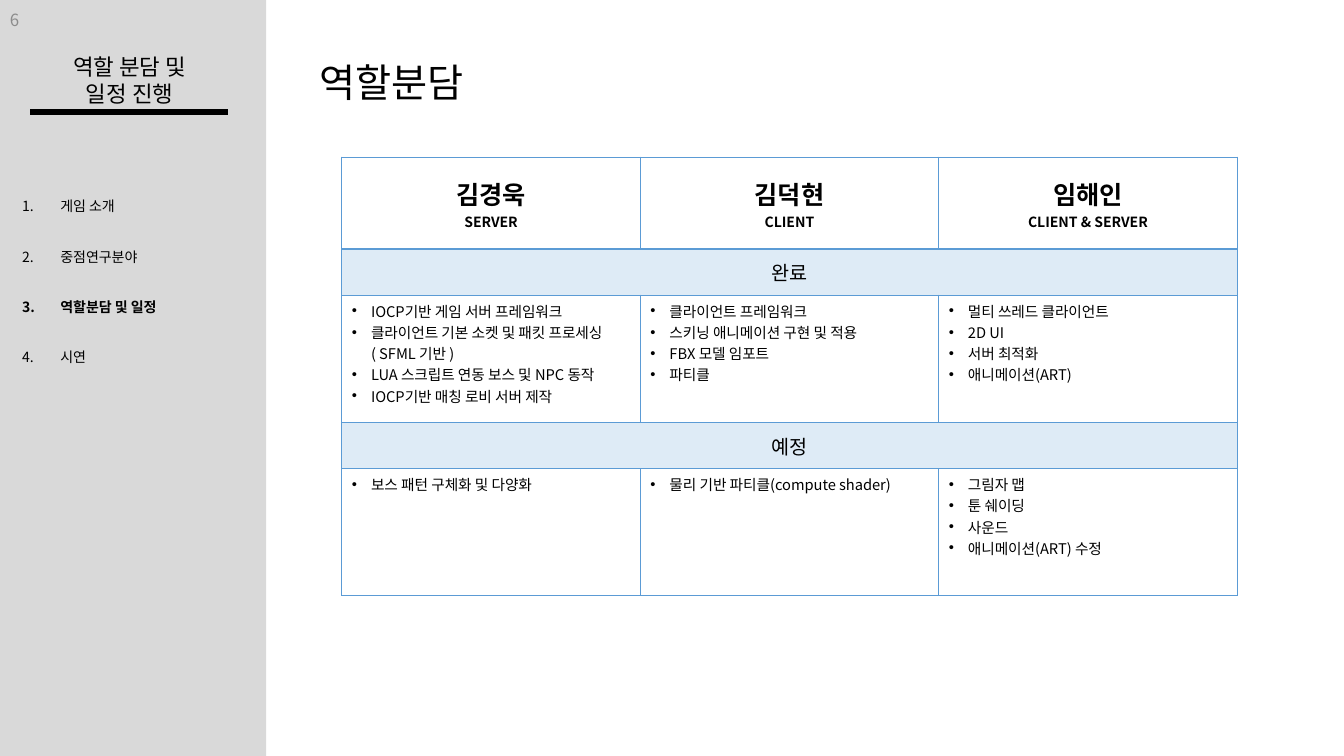
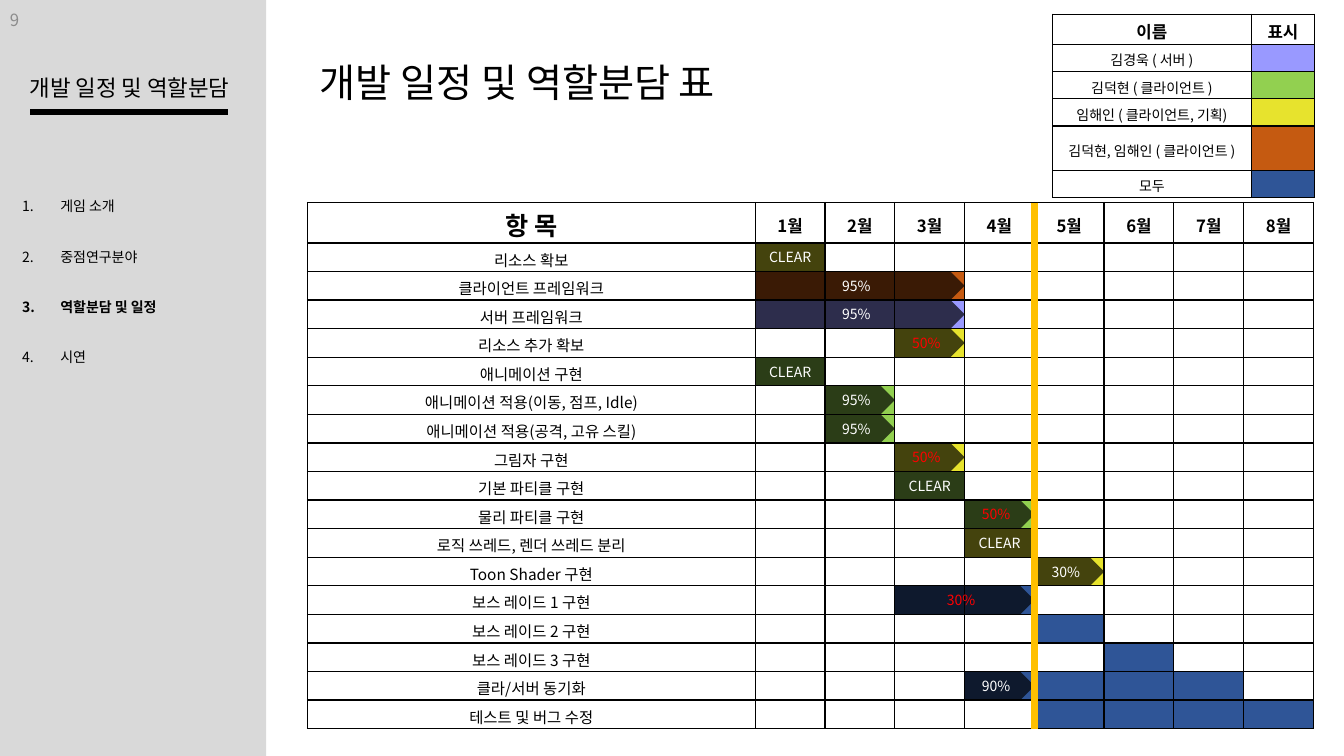
"""Build two slides on the roles and the schedule of a game project."""
from lxml import etree
from pptx import Presentation
from pptx import util as u
from pptx.dml.color import RGBColor
from pptx.enum import shapes, text
from pptx.oxml import ns

WIDE, HIGH = 13.33, 7.5
FONT = "Noto Sans CJK KR"
BLACK = RGBColor(0x00, 0x00, 0x00)
WHITE = RGBColor(0xFF, 0xFF, 0xFF)
RED = RGBColor(0xFF, 0x00, 0x00)
PALE = RGBColor(0xD9, 0xD9, 0xD9)
GREY = RGBColor(0x8C, 0x8C, 0x8C)
SKY = RGBColor(0x5B, 0x9B, 0xD5)
GOLD = RGBColor(0xFF, 0xC0, 0x00)
LILAC = RGBColor(0x99, 0x99, 0xFF)
GREEN = RGBColor(0x92, 0xD0, 0x50)
LEMON = RGBColor(0xE7, 0xE3, 0x2D)
RUST = RGBColor(0xC5, 0x5A, 0x11)
NAVY = RGBColor(0x2F, 0x55, 0x97)

MID = text.MSO_ANCHOR.MIDDLE
TOP = text.MSO_ANCHOR.TOP
LEFT = text.PP_ALIGN.LEFT
MIDDLE = text.PP_ALIGN.CENTER
DOT = ("buChar", {"char": "•"}, 0.19)
NUMBER = ("buAutoNum", {"type": "arabicPeriod"}, 0.38)

MENU = ["게임 소개", "중점연구분야", "역할분담 및 일정", "시연"]
ACTIVE = 2

TEAM = [("김경욱", "SERVER"), ("김덕현", "CLIENT"), ("임해인", "CLIENT & SERVER")]
WORK = [
    ("완료", [
        ["IOCP기반 게임 서버 프레임워크",
         "클라이언트 기본 소켓 및 패킷 프로세싱 ( SFML 기반 )",
         "LUA 스크립트 연동 보스 및 NPC 동작",
         "IOCP기반 매칭 로비 서버 제작"],
        ["클라이언트 프레임워크", "스키닝 애니메이션 구현 및 적용",
         "FBX 모델 임포트", "파티클"],
        ["멀티 쓰레드 클라이언트", "2D UI", "서버 최적화", "애니메이션(ART)"]]),
    ("예정", [
        ["보스 패턴 구체화 및 다양화"],
        ["물리 기반 파티클(compute shader)"],
        ["그림자 맵", "툰 쉐이딩", "사운드", "애니메이션(ART) 수정"]]),
]

KEY = [
    ("김경욱 ( 서버 )", LILAC),
    ("김덕현 ( 클라이언트 )", GREEN),
    ("임해인 ( 클라이언트, 기획)", LEMON),
    ("김덕현, 임해인 ( 클라이언트 )", RUST),
    ("모두", NAVY),
]
MONTHS = 8
TASKS = [
    ("리소스 확보", LEMON, 1, 1, "CLEAR", 1, WHITE),
    ("클라이언트 프레임워크", RUST, 1, 3, "95%", 3, WHITE),
    ("서버 프레임워크", LILAC, 1, 3, "95%", 3, WHITE),
    ("리소스 추가 확보", LEMON, 3, 3, "50%", 1, RED),
    ("애니메이션 구현", GREEN, 1, 1, "CLEAR", 1, WHITE),
    ("애니메이션 적용(이동, 점프, Idle)", GREEN, 2, 2, "95%", 1, WHITE),
    ("애니메이션 적용(공격, 고유 스킬)", GREEN, 2, 2, "95%", 1, WHITE),
    ("그림자 구현", LEMON, 3, 3, "50%", 1, RED),
    ("기본 파티클 구현", GREEN, 3, 3, "CLEAR", 1, WHITE),
    ("물리 파티클 구현", GREEN, 4, 4, "50%", 1, RED),
    ("로직 쓰레드, 렌더 쓰레드 분리", LEMON, 4, 4, "CLEAR", 1, WHITE),
    ("Toon Shader 구현", LEMON, 5, 5, "30%", 1, WHITE),
    ("보스 레이드 1 구현", NAVY, 3, 4, "30%", 2, RED),
    ("보스 레이드 2 구현", NAVY, 5, 5, None, 0, WHITE),
    ("보스 레이드 3 구현", NAVY, 6, 6, None, 0, WHITE),
    ("클라/서버 동기화", NAVY, 4, 7, "90%", 1, WHITE),
    ("테스트 및 버그 수정", NAVY, 5, 8, None, 0, WHITE),
]


def sub(node, tag, **attrs):
    """Append a drawing element to a node."""
    return etree.SubElement(node, ns.qn("a:" + tag), attrs)


def place(*sizes):
    """Turn inches into lengths."""
    return [u.Inches(size) for size in sizes]


def paint(item, hue, alpha=None):
    """Fill a shape or cell, with an optional opacity in percent."""
    item.fill.solid()
    item.fill.fore_color.rgb = hue
    if alpha:
        root = item._tc.tcPr if hasattr(item, "_tc") else item._element.spPr
        tone = root.find(ns.qn("a:solidFill"))[0]
        sub(tone, "alpha", val=str(alpha * 1000))


def write(frame, lines, size, ink=BLACK, bold=(), align=LEFT, mark=None, lead=None):
    """Write one paragraph per line; size may be a list, bold holds line numbers."""
    for i, line in enumerate(lines):
        para = frame.paragraphs[0] if i == 0 else frame.add_paragraph()
        para.text = line
        para.alignment = align
        if lead:
            para.line_spacing = u.Pt(lead)
        if mark:
            tag, attrs, indent = mark
            props = para._p.get_or_add_pPr()
            props.set("marL", str(u.Inches(indent)))
            props.set("indent", str(-u.Inches(indent)))
            sub(props, "buFont", typeface="Arial" if mark is DOT else FONT)
            sub(props, tag, **attrs)
        font = para.font
        font.size = u.Pt(size[i] if isinstance(size, list) else size)
        font.bold = i in bold
        font.color.rgb = ink
        font.name = FONT
        sub(font._rPr, "ea", typeface=FONT)


def label(slide, box, lines, size, anchor=TOP, **style):
    """Add a wrapped text box."""
    frame = slide.shapes.add_textbox(*place(*box)).text_frame
    frame.word_wrap = True
    frame.vertical_anchor = anchor
    write(frame, lines, size, **style)


def block(slide, kind, box, hue, alpha=None):
    """Add a filled shape without outline or shadow."""
    shape = slide.shapes.add_shape(kind, *place(*box))
    shape.shadow.inherit = False
    shape.line.fill.background()
    paint(shape, hue, alpha)
    return shape


def rule(slide, ends, hue):
    """Add a thick straight line."""
    line = slide.shapes.add_connector(shapes.MSO_CONNECTOR.STRAIGHT, *place(*ends))
    line.line.color.rgb = hue
    line.line.width = u.Pt(4.5)
    sub(line._element.spPr, "effectLst")


def edge(cell, hue, base=1):
    """Draw the four borders of a cell, the lower one in its own width."""
    props = cell._tc.get_or_add_tcPr()
    for side, width in zip("LRTB", (1, 1, 1, base)):
        line = sub(props, "ln" + side, w=str(u.Pt(width)))
        sub(sub(line, "solidFill"), "srgbClr", val=str(hue))


def grid(slide, left, top, cols, rows, hue, base=1):
    """Add a plain bordered table."""
    box = place(left, top, sum(cols), sum(rows))
    table = slide.shapes.add_table(len(rows), len(cols), *box).table
    table.first_row = table.horz_banding = False
    for col, size in zip(table.columns, cols):
        col.width = u.Inches(size)
    for i, (row, size) in enumerate(zip(table.rows, rows)):
        row.height = u.Inches(size)
        for cell in row.cells:
            edge(cell, hue, base if i == 0 else 1)
            cell.fill.background()
    return table


def fit(table):
    """Tighten the cells of a dense table and shrink its blank ones."""
    for cell in table.iter_cells():
        cell.margin_top, cell.margin_bottom = place(0.04, 0)
        cell.vertical_anchor = MID
        if not cell.text:
            sub(cell.text_frame.paragraphs[0]._p, "endParaRPr", sz="800")


def page(deck, title, head, top, number):
    """Add a slide with title, side band, menu and page number."""
    slide = deck.slides.add_slide(deck.slide_layouts[5])
    name = slide.shapes.title
    name.left, name.top, name.width, name.height = place(3.07, 0.53, 5.53, 0.57)
    name.text_frame.auto_size = text.MSO_AUTO_SIZE.NONE
    name.text_frame.vertical_anchor = MID
    write(name.text_frame, [title], 28)
    block(slide, shapes.MSO_SHAPE.RECTANGLE, (0, 0, 2.64, HIGH), PALE)
    rule(slide, (0.3, 1.11, 2.26, 1.11), BLACK)
    label(slide, (0.06, top, 2.45, 0.64), head, 16, align=MIDDLE, lead=19.5)
    label(slide, (0.12, 1.58, 2.41, 2.03), MENU, 10, bold=[ACTIVE], mark=NUMBER, lead=36)
    label(slide, (0, 0, 3, 0.4), [number], 12, anchor=MID, ink=GREY)
    return slide


def roles(slide):
    """Add the table of finished and planned work."""
    rows = [0.91] + [0.46, 1.26] * len(WORK)
    table = grid(slide, 3.39, 1.56, [2.96] * len(TEAM), rows, SKY, base=2)
    for col, who in enumerate(TEAM):
        cell = table.cell(0, col)
        cell.vertical_anchor = MID
        write(cell.text_frame, who, [18, 10], bold=[0, 1], align=MIDDLE)
    for i, (state, lists) in enumerate(WORK):
        row = 1 + 2 * i
        band = table.cell(row, 0)
        band.merge(table.cell(row, len(TEAM) - 1))
        band.vertical_anchor = MID
        paint(band, SKY, 20)
        write(band.text_frame, [state], 14, align=MIDDLE)
        for col, items in enumerate(lists):
            write(table.cell(row + 1, col).text_frame, items, 10.5, mark=DOT)


def legend(slide):
    """Add the table of colours."""
    rows = [0.3, 0.27, 0.27, 0.27, 0.44, 0.27]
    table = grid(slide, 10.44, 0.14, [1.97, 0.63], rows, BLACK)
    for col, head in enumerate(["이름", "표시"]):
        write(table.cell(0, col).text_frame, [head], 12, bold=[0], align=MIDDLE)
    for row, (who, hue) in enumerate(KEY, 1):
        write(table.cell(row, 0).text_frame, [who], 10, align=MIDDLE)
        paint(table.cell(row, 1), hue)
    fit(table)


def plan(slide):
    """Add the month chart with its progress bars and the line for today."""
    left, top, first, head = 3.05, 2.01, 4.44, 0.4
    step = (9.98 - first) / MONTHS
    tall = (5.22 - head) / len(TASKS)
    cols, rows = [first] + [step] * MONTHS, [head] + [tall] * len(TASKS)
    table = grid(slide, left, top, cols, rows, BLACK)
    names = ["항 목"] + [f"{month}월" for month in range(1, MONTHS + 1)]
    for col, name in enumerate(names):
        size = 12 if col else 18
        write(table.cell(0, col).text_frame, [name], size, bold=[0], align=MIDDLE)
    for row, (name, hue, start, end, note, span, ink) in enumerate(TASKS, 1):
        write(table.cell(row, 0).text_frame, [name], 11, align=MIDDLE)
        for month in range(start, end + 1):
            paint(table.cell(row, month), hue)
        if note:
            box = (left + first + (start - 1) * step, top + head + (row - 1) * tall,
                   span * step, tall)
            bar(slide, box, note, ink)
    fit(table)
    today = left + first + 4 * step
    rule(slide, (today, top, today, top + sum(rows)), GOLD)


def bar(slide, box, note, ink):
    """Add a dark progress bar, pointed while the task is open."""
    kind = shapes.MSO_SHAPE.RECTANGLE if note == "CLEAR" else shapes.MSO_SHAPE.PENTAGON
    frame = block(slide, kind, box, BLACK, 70).text_frame
    frame.word_wrap = False
    frame.vertical_anchor = MID
    frame.margin_top = frame.margin_bottom = 0
    write(frame, [note], 10, ink=ink, align=MIDDLE)


def main():
    """Build and save the deck."""
    deck = Presentation()
    deck.slide_width, deck.slide_height = place(WIDE, HIGH)
    roles(page(deck, "역할분담", ["역할 분담 및", "일정 진행"], 0.47, "6"))
    slide = page(deck, "개발 일정 및 역할분담 표", ["개발 일정 및 역할분담"], 0.68, "9")
    legend(slide)
    plan(slide)
    deck.save("out.pptx")


if __name__ == "__main__":
    main()
